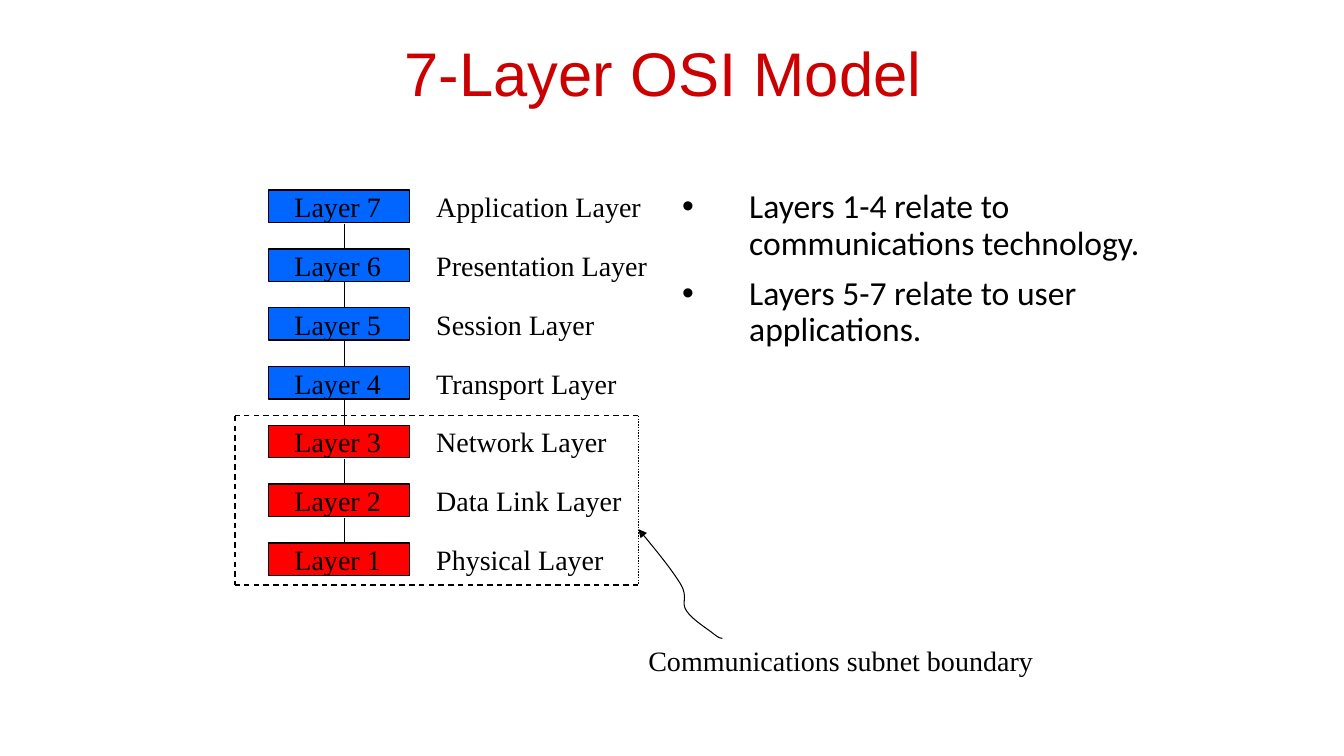
from dataclasses import dataclass
from typing import Optional

from lxml.etree import SubElement
from pptx import Presentation
from pptx.dml.color import RGBColor
from pptx.dml.line import LineFormat
from pptx.enum.dml import MSO_LINE
from pptx.enum.shapes import MSO_CONNECTOR, MSO_SHAPE
from pptx.enum.text import MSO_ANCHOR, MSO_AUTO_SIZE, PP_ALIGN
from pptx.oxml.ns import qn
from pptx.shapes.base import BaseShape
from pptx.slide import Slide
from pptx.text.text import _Paragraph
from pptx.util import Emu, Pt

PX = 9525
BLACK = "000000"
USER_BLUE = "0066FF"
SUBNET_RED = "FF0000"
TITLE_RED = "CC0000"
SERIF = "Times New Roman"

STACK_TOP = 176
PITCH = 56
BAND_INSET = 5
BAND_HEIGHT = 31
LABEL_HEIGHT = 42


@dataclass(frozen=True)
class Layer:
    number: int
    name: str
    name_width: int
    fill: str


@dataclass(frozen=True)
class Edge:
    x1: int
    y1: int
    x2: int
    y2: int
    dash: Optional[MSO_LINE] = None


LAYERS = [
    Layer(7, "Application Layer", 216, USER_BLUE),
    Layer(6, "Presentation Layer", 222, USER_BLUE),
    Layer(5, "Session Layer", 171, USER_BLUE),
    Layer(4, "Transport Layer", 193, USER_BLUE),
    Layer(3, "Network Layer", 183, SUBNET_RED),
    Layer(2, "Data Link Layer", 198, SUBNET_RED),
    Layer(1, "Physical Layer", 180, SUBNET_RED),
]

LEFT, TOP, RIGHT, BOTTOM = 224, 396, 608, 557
SUBNET_BOUNDARY = [
    Edge(LEFT, TOP, LEFT, BOTTOM, MSO_LINE.DASH),
    Edge(RIGHT, TOP, RIGHT, BOTTOM, MSO_LINE.ROUND_DOT),
    Edge(RIGHT, TOP, LEFT, TOP, MSO_LINE.DASH),
    Edge(RIGHT, BOTTOM, LEFT, BOTTOM, MSO_LINE.DASH),
]

POINTER_START = (608, 504)
POINTER_CURVE = [
    (624, 523), (640, 543), (648, 556),
    (656, 569), (648, 574), (654, 582),
    (659, 590), (674, 599), (680, 604),
    (685, 608), (687, 608), (688, 608),
]

RELATIONS = [
    "Layers 1-4 relate to communications technology.",
    "Layers 5-7 relate to user applications.",
]


def px(length: int) -> Emu:
    return Emu(length * PX)


def color(value: str) -> RGBColor:
    return RGBColor.from_string(value)


def place(shape: BaseShape, x: int, y: int, width: int, height: int) -> None:
    shape.left, shape.top = px(x), px(y)
    shape.width, shape.height = px(width), px(height)


def add_text(paragraph: _Paragraph, text: str, size: int, font: str, ink: str) -> None:
    run = paragraph.add_run()
    run.text = text
    run.font.size = Pt(size)
    run.font.name = font
    run.font.color.rgb = color(ink)


def set_stroke(line: LineFormat, width: float) -> None:
    line.color.rgb = color(BLACK)
    line.width = Pt(width)


def add_label(slide: Slide, text: str, x: int, y: int, width: int, wrap: bool = False) -> None:
    label = slide.shapes.add_textbox(px(x), px(y), px(width), px(LABEL_HEIGHT))
    frame = label.text_frame
    frame.word_wrap = wrap
    frame.auto_size = MSO_AUTO_SIZE.SHAPE_TO_FIT_TEXT
    add_text(frame.paragraphs[0], text, 20, SERIF, BLACK)


def add_edge(slide: Slide, edge: Edge) -> None:
    connector = slide.shapes.add_connector(
        MSO_CONNECTOR.STRAIGHT, px(edge.x1), px(edge.y1), px(edge.x2), px(edge.y2)
    )
    set_stroke(connector.line, 1)
    if edge.dash is not None:
        connector.line.dash_style = edge.dash
    SubElement(connector.element.find(qn("p:spPr")), qn("a:effectLst"))


def add_layer(slide: Slide, layer: Layer, y: int) -> None:
    band = slide.shapes.add_shape(
        MSO_SHAPE.RECTANGLE, px(256), px(y + BAND_INSET), px(134), px(BAND_HEIGHT)
    )
    band.shadow.inherit = False
    band.fill.solid()
    band.fill.fore_color.rgb = color(layer.fill)
    set_stroke(band.line, 1)
    add_label(slide, f"Layer {layer.number}", 271, y, 103)
    add_label(slide, layer.name, 406, y, layer.name_width)


def add_pointer(slide: Slide) -> None:
    builder = slide.shapes.build_freeform(*POINTER_START, scale=PX)
    builder.add_line_segments(POINTER_CURVE, close=False)
    pointer = builder.convert_to_shape()
    pointer.shadow.inherit = False
    pointer.fill.background()
    set_stroke(pointer.line, 0.75)
    segments = list(pointer.element.iter(qn("a:lnTo")))
    outline = segments[0].getparent()
    for first in range(0, len(segments), 3):
        curve = SubElement(outline, qn("a:cubicBezTo"))
        for segment in segments[first:first + 3]:
            curve.append(segment[0])
            outline.remove(segment)
    stroke = pointer.element.find(qn("p:spPr")).find(qn("a:ln"))
    SubElement(stroke, qn("a:headEnd"), type="triangle")


def fill_title(slide: Slide) -> None:
    title = slide.shapes.title
    place(title, 232, 8, 816, 120)
    title.text_frame.vertical_anchor = MSO_ANCHOR.MIDDLE
    heading = title.text_frame.paragraphs[0]
    heading.alignment = PP_ALIGN.CENTER
    add_text(heading, "7-Layer OSI Model ", 44, "Arial", TITLE_RED)


def fill_relations(slide: Slide) -> None:
    body = slide.placeholders[1]
    place(body, 640, 176, 456, 272)
    frame = body.text_frame
    for index, relation in enumerate(RELATIONS):
        paragraph = frame.add_paragraph() if index else frame.paragraphs[0]
        paragraph.line_spacing = 0.9
        paragraph.space_before = Pt(10)
        properties = paragraph._p.get_or_add_pPr()
        properties.set("marL", str(px(64)))
        properties.set("indent", str(px(-64)))
        SubElement(properties, qn("a:buFont"), typeface="Arial")
        SubElement(properties, qn("a:buChar"), char="•")
        add_text(paragraph, relation, 24, "Calibri", BLACK)


def main() -> None:
    presentation = Presentation()
    presentation.slide_width, presentation.slide_height = px(1280), px(720)
    slide = presentation.slides.add_slide(presentation.slide_layouts[1])
    fill_title(slide)
    fill_relations(slide)
    for index, layer in enumerate(LAYERS):
        add_layer(slide, layer, STACK_TOP + index * PITCH)
    for index in range(len(LAYERS) - 1):
        link_top = STACK_TOP + index * PITCH + BAND_INSET + BAND_HEIGHT + 1
        add_edge(slide, Edge(328, link_top, 328, link_top + 24))
    for edge in SUBNET_BOUNDARY:
        add_edge(slide, edge)
    add_label(slide, "Communications subnet boundary", 608, 608, 471, wrap=True)
    add_pointer(slide)
    presentation.save("out.pptx")


if __name__ == "__main__":
    main()
